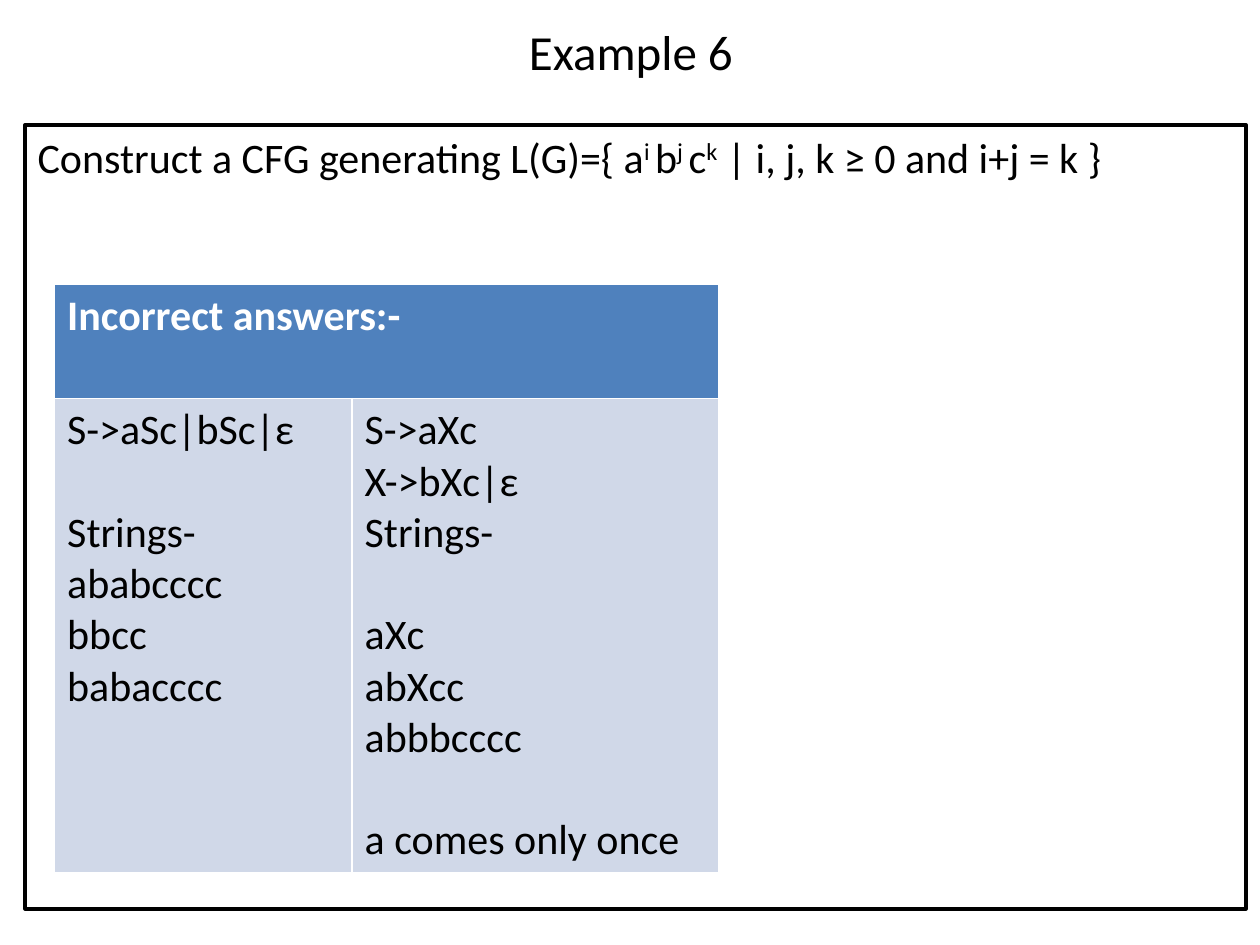
"""Build the Example 6 slide on a context-free grammar and its incorrect answers."""
from dataclasses import dataclass

import pptx
import pptx.dml.color
import pptx.enum.shapes
import pptx.enum.text
import pptx.util

Pt = pptx.util.Pt
COLORS = {"black": "000000", "white": "FFFFFF", "header": "4F81BD", "body": "D0D8E8"}
FONT = "Calibri"
LINE_GAP = 29.3


@dataclass(frozen=True)
class Line:
    text: str
    before: float = 0


@dataclass(frozen=True)
class Cell:
    row: int
    col: int
    lines: tuple[Line, ...]
    fill: str
    color: str = "black"
    bold: bool = False


QUESTION = (
    ("Construct a CFG generating L(G)={ a", False),
    ("i ", True),
    ("b", False),
    ("j ", True),
    ("c", False),
    ("k", True),
    (" | i, j, k ≥ 0 and i+j = k }", False),
)
CELLS = (
    Cell(0, 0, (Line("Incorrect answers:-"),), "header", "white", True),
    Cell(1, 0, (Line("S->aSc|bSc|ε"), Line("Strings-", LINE_GAP), Line("ababcccc"),
                Line("bbcc"), Line("babacccc")), "body"),
    Cell(1, 1, (Line("S->aXc"), Line("X->bXc|ε"), Line("Strings-"),
                Line("aXc", LINE_GAP), Line("abXcc"), Line("abbbcccc"),
                Line("a comes only once", LINE_GAP)), "body"),
)


def rgb(name: str) -> pptx.dml.color.RGBColor:
    return pptx.dml.color.RGBColor.from_string(COLORS[name])


def add_run(p, text: str, size: float = 24, color: str = "black",
            bold: bool = False, raised: bool = False) -> None:
    r = p.add_run()
    r.text = text
    r.font.name = FONT
    r.font.size = Pt(size)
    r.font.bold = bold
    r.font.color.rgb = rgb(color)
    if raised:
        r.font._element.set("baseline", "30000")


def add_title(s) -> None:
    sp = s.shapes.title
    sp.left, sp.top, sp.width, sp.height = Pt(36.5), Pt(9.5), Pt(648), Pt(39)
    tf = sp.text_frame
    tf.vertical_anchor = pptx.enum.text.MSO_ANCHOR.MIDDLE
    p = tf.paragraphs[0]
    p.alignment = pptx.enum.text.PP_ALIGN.CENTER
    add_run(p, "Example 6", 28)


def add_question(s) -> None:
    sp = s.shapes.add_shape(pptx.enum.shapes.MSO_SHAPE.RECTANGLE,
                            Pt(14.4), Pt(71.4), Pt(697.6), Pt(448))
    sp.shadow.inherit = False
    sp.fill.solid()
    sp.fill.fore_color.rgb = rgb("white")
    sp.line.color.rgb = rgb("black")
    sp.line.width = Pt(2)
    tf = sp.text_frame
    tf.word_wrap = True
    tf.vertical_anchor = pptx.enum.text.MSO_ANCHOR.TOP
    p = tf.paragraphs[0]
    p.alignment = pptx.enum.text.PP_ALIGN.LEFT
    for text, raised in QUESTION:
        add_run(p, text, raised=raised)


def fill_cell(table, item: Cell) -> None:
    cell = table.cell(item.row, item.col)
    cell.fill.solid()
    cell.fill.fore_color.rgb = rgb(item.fill)
    tf = cell.text_frame
    for i, line in enumerate(item.lines):
        p = tf.add_paragraph() if i else tf.paragraphs[0]
        if line.before:
            p.space_before = Pt(line.before)
        add_run(p, line.text, color=item.color, bold=item.bold)


def add_answers(s) -> None:
    widths, heights = (170, 209.7), (65.5, 270.5)
    table = s.shapes.add_table(2, 2, Pt(31.2), Pt(162.3),
                               Pt(sum(widths)), Pt(sum(heights))).table
    for column, width in zip(table.columns, widths):
        column.width = Pt(width)
    for row, height in zip(table.rows, heights):
        row.height = Pt(height)
    table.cell(0, 0).merge(table.cell(0, 1))
    for item in CELLS:
        fill_cell(table, item)


def main() -> None:
    prs = pptx.Presentation()
    prs.slide_width, prs.slide_height = Pt(720), Pt(540)
    s = prs.slides.add_slide(prs.slide_layouts[5])
    add_title(s)
    add_question(s)
    add_answers(s)
    prs.save("out.pptx")


if __name__ == "__main__":
    main()
